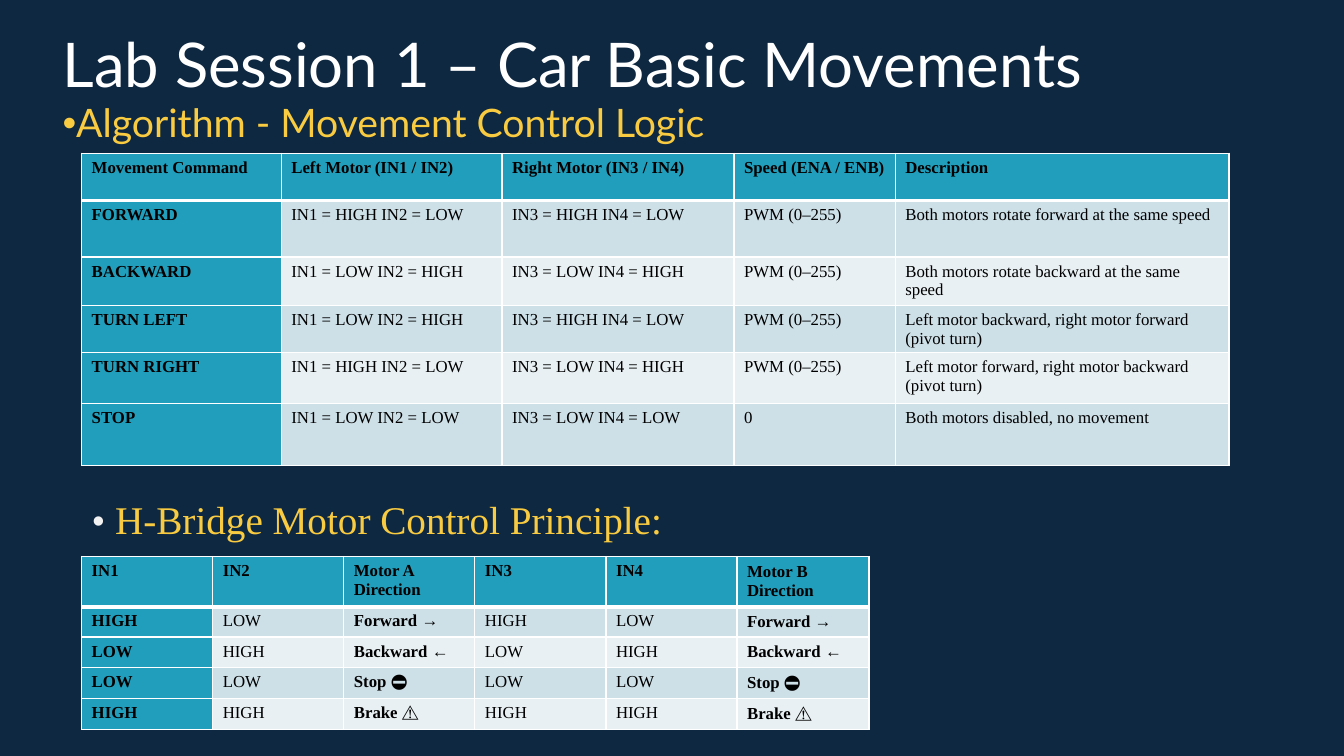
from dataclasses import dataclass

from lxml.etree import SubElement
from pptx import Presentation
from pptx.dml.color import RGBColor
from pptx.enum.text import MSO_ANCHOR as Anchor, MSO_AUTO_SIZE as AutoSize, PP_ALIGN as Align
from pptx.oxml.ns import qn
from pptx.util import Inches, Pt


@dataclass(frozen=True)
class Theme:
    navy: str = "0E2841"
    white: str = "FFFFFF"
    pale: str = "F2F2F2"
    yellow: str = "F9CB40"
    black: str = "000000"
    teal: str = "219EBC"
    bands: tuple = ("CDDFE7", "E8F0F3")
    sans: str = "Lato"
    serif: str = "Times New Roman"
    title_size: int = 44
    heading_size: int = 28
    cell_size: int = 12
    thin: int = 1
    thick: int = 3


THEME = Theme()

MOVEMENTS = [
    ("Movement Command", "Left Motor (IN1 / IN2)", "Right Motor (IN3 / IN4)",
     "Speed (ENA / ENB)", "Description"),
    ("FORWARD", "IN1 = HIGH IN2 = LOW", "IN3 = HIGH IN4 = LOW", "PWM (0–255)",
     "Both motors rotate forward at the same speed"),
    ("BACKWARD", "IN1 = LOW IN2 = HIGH", "IN3 = LOW IN4 = HIGH", "PWM (0–255)",
     "Both motors rotate backward at the same speed"),
    ("TURN LEFT", "IN1 = LOW IN2 = HIGH", "IN3 = HIGH IN4 = LOW", "PWM (0–255)",
     "Left motor backward, right motor forward (pivot turn)"),
    ("TURN RIGHT", "IN1 = HIGH IN2 = LOW", "IN3 = LOW IN4 = HIGH", "PWM (0–255)",
     "Left motor forward, right motor backward (pivot turn)"),
    ("STOP", "IN1 = LOW IN2 = LOW", "IN3 = LOW IN4 = LOW", "0",
     "Both motors disabled, no movement"),
]

# Both motors follow the same truth table; a direction is a (word, symbol) pair.
MOTOR_STATES = [
    ("HIGH", "LOW", ("Forward", " →")),
    ("LOW", "HIGH", ("Backward", " ←")),
    ("LOW", "LOW", ("Stop", " ⛔")),
    ("HIGH", "HIGH", ("Brake", " ⚠️")),
]
H_BRIDGE = [
    ("IN1", "IN2", "Motor A Direction", "IN3", "IN4", "Motor B Direction"),
    *(state * 2 for state in MOTOR_STATES),
]


def add_run(paragraph, text, font, size, color, bold=False):
    run = paragraph.add_run()
    run.text = text
    for name, value in {"name": font, "size": Pt(size), "bold": bold}.items():
        setattr(run.font, name, value)
    run.font.color.rgb = RGBColor.from_string(color)


def place(shape, left, top, width, height):
    box = {"left": left, "top": top, "width": width, "height": height}
    for name, value in box.items():
        setattr(shape, name, Inches(value))


def fill_placeholder(placeholder, box, text, size, color, anchor):
    """Move a placeholder and return its single formatted paragraph."""
    place(placeholder, *box)
    frame = placeholder.text_frame
    frame.auto_size = AutoSize.NONE
    frame.vertical_anchor = anchor
    paragraph = frame.paragraphs[0]
    formats = {"alignment": Align.LEFT, "line_spacing": 0.9, "space_before": Pt(0)}
    for name, value in formats.items():
        setattr(paragraph, name, value)
    add_run(paragraph, text, THEME.sans, size, color)
    return paragraph


def add_bullet(paragraph):
    """Put a bullet directly in front of the text, without a hanging indent."""
    properties = paragraph._p.get_or_add_pPr()
    properties.set("marL", "0")
    properties.set("indent", "0")
    SubElement(properties, qn("a:buFont"), typeface="Arial")
    SubElement(properties, qn("a:buChar"), char="•")


def set_borders(cell, top, bottom):
    properties = cell._tc.get_or_add_tcPr()
    widths = {"lnL": THEME.thin, "lnR": THEME.thin, "lnT": top, "lnB": bottom}
    for side, width in widths.items():
        line = SubElement(properties, qn(f"a:{side}"), w=str(Pt(width)))
        fill = SubElement(line, qn("a:solidFill"))
        SubElement(fill, qn("a:srgbClr"), val=THEME.white)


def fill_cell(cell, content, row, column):
    is_label = row == 0 or column == 0
    set_borders(cell, THEME.thick if row == 1 else THEME.thin,
                THEME.thick if row == 0 else THEME.thin)
    cell.fill.solid()
    color = THEME.teal if is_label else THEME.bands[(row - 1) % 2]
    cell.fill.fore_color.rgb = RGBColor.from_string(color)
    parts = [(content, is_label)]
    if isinstance(content, tuple):
        word, symbol = content
        parts = [(word, True), (symbol, False)]
    for text, bold in parts:
        add_run(cell.text_frame.paragraphs[0], text, THEME.serif,
                THEME.cell_size, THEME.black, bold)


def add_grid(slide, left, top, widths, heights, content):
    frame = slide.shapes.add_table(
        len(heights), len(widths), Inches(left), Inches(top),
        Inches(sum(widths)), Inches(sum(heights)))
    table = frame.table
    for column, width in zip(table.columns, widths):
        column.width = Inches(width)
    for row, height in zip(table.rows, heights):
        row.height = Inches(height)
    for r, values in enumerate(content):
        for c, value in enumerate(values):
            fill_cell(table.cell(r, c), value, r, c)
    return table


def add_subheading(slide, box, text):
    heading = slide.shapes.add_textbox(*map(Inches, box))
    heading.text_frame.word_wrap = True
    heading.text_frame.auto_size = AutoSize.SHAPE_TO_FIT_TEXT
    paragraph = heading.text_frame.paragraphs[0]
    for part, color in (("• ", THEME.pale), (text, THEME.yellow)):
        add_run(paragraph, part, THEME.serif, THEME.heading_size, color)


def main():
    deck = Presentation()
    deck.slide_width, deck.slide_height = Inches(13.33), Inches(7.5)
    slide = deck.slides.add_slide(deck.slide_layouts[1])
    slide.background.fill.solid()
    slide.background.fill.fore_color.rgb = RGBColor.from_string(THEME.navy)

    title, body = slide.placeholders
    fill_placeholder(title, (0.52, -0.05, 11.5, 1.45), "Lab Session 1 – Car Basic Movements",
                     THEME.title_size, THEME.white, Anchor.MIDDLE)
    algorithm = fill_placeholder(body, (0.52, 0.98, 11.5, 6.4),
                                 "Algorithm - Movement Control Logic",
                                 THEME.heading_size, THEME.yellow, Anchor.TOP)
    add_bullet(algorithm)

    add_grid(slide, 0.81, 1.52, (1.98, 2.19, 2.3, 1.6, 3.31),
             (0.47, 0.56, 0.48, 0.47, 0.5, 0.62), MOVEMENTS)
    bridge = add_grid(slide, 0.81, 5.52, [1.3] * 5 + [1.31],
                      (0.5, 0.3, 0.3, 0.31, 0.31), H_BRIDGE)
    for row in range(len(H_BRIDGE)):
        bridge.cell(row, 5).vertical_anchor = Anchor.MIDDLE
    add_subheading(slide, (0.81, 4.86, 7.97, 0.57), "H-Bridge Motor Control Principle:")

    deck.save("out.pptx")


if __name__ == "__main__":
    main()
